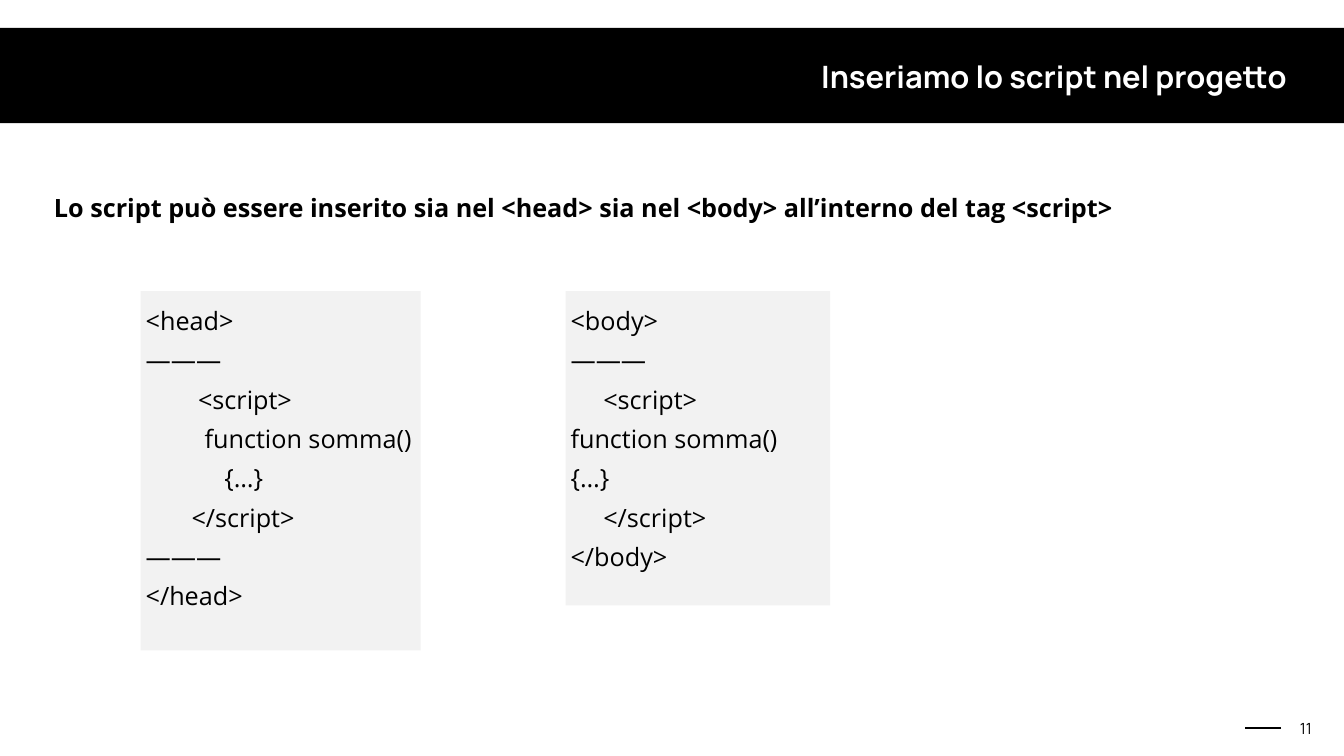
"""Builds the slide on placing a script in the head or the body of a page."""
from pptx import Presentation
from pptx.dml.color import RGBColor
from pptx.enum.shapes import MSO_CONNECTOR as Connector, MSO_SHAPE as Shape
from pptx.enum.text import MSO_ANCHOR as Anchor, PP_ALIGN as Align
from pptx.oxml.ns import qn
from pptx.util import Pt
from lxml import etree

BLACK, WHITE, GREY = "000000", "FFFFFF", "F2F2F2"
SPACE = 9.36


def color(value):
    return RGBColor.from_string(value)


def write(shape, lines, size, font, ink=BLACK, bold=False, align=Align.LEFT,
          anchor=Anchor.TOP, inset=7.2, spacing=None):
    frame = shape.text_frame
    frame.word_wrap = True
    frame.vertical_anchor = anchor
    frame.margin_left = frame.margin_right = Pt(inset)
    frame.margin_top = frame.margin_bottom = Pt(inset)
    for index, (indent, text) in enumerate(lines):
        paragraph = frame.paragraphs[0] if index == 0 else frame.add_paragraph()
        paragraph.text = text
        paragraph.alignment = align
        paragraph.line_spacing = spacing
        paragraph.font.name = font
        paragraph.font.size = Pt(size)
        paragraph.font.bold = bold
        paragraph.font.color.rgb = color(ink)
        if indent:
            paragraph._p.get_or_add_pPr().set("marL", str(Pt(indent * SPACE)))


presentation = Presentation()
presentation.slide_width, presentation.slide_height = Pt(1920), Pt(1080)
slide = presentation.slides.add_slide(presentation.slide_layouts[6])
shapes = slide.shapes

band = shapes.add_shape(Shape.RECTANGLE, Pt(-15), Pt(40), Pt(1950), Pt(136))
band.shadow.inherit = False
band.fill.solid()
band.fill.fore_color.rgb = color(BLACK)
band.line.fill.background()

dash = shapes.add_connector(Connector.STRAIGHT, Pt(1830), Pt(1040), Pt(1779), Pt(1040))
dash.line.color.rgb = color(BLACK)
dash.line.width = Pt(2)
etree.SubElement(dash._element.spPr, qn("a:effectLst"))

head_code = [(0, "<head>"), (0, "———"), (8, "<script>"), (9, "function somma()"),
             (12, "{…}"), (7, "</script>"), (0, "———"), (0, "</head>")]
body_code = [(0, "<body>"), (0, "———"), (5, "<script>"), (0, "function somma()"),
             (0, "{…}"), (5, "</script>"), (0, "</body>")]
for left, width, height, code in [(201, 400, 513, head_code), (808, 378, 449, body_code)]:
    panel = shapes.add_shape(Shape.RECTANGLE, Pt(left), Pt(416), Pt(width), Pt(height))
    panel.shadow.inherit = False
    panel.fill.solid()
    panel.fill.fore_color.rgb = color(GREY)
    panel.line.fill.background()
    write(panel, code, 36, "Open Sans", spacing=1.3)

statement = shapes.add_textbox(Pt(70), Pt(255), Pt(1538), Pt(66))
write(statement, [(0, "Lo script può essere inserito sia nel <head> sia nel <body> "
                      "all’interno del tag <script>")],
      36, "Open Sans", bold=True, spacing=1.3)

page_number = shapes.add_textbox(Pt(1847.5), Pt(1022.5), Pt(36), Pt(34.5))
write(page_number, [(0, "11")], 22, "Manrope", align=Align.CENTER,
      anchor=Anchor.BOTTOM, inset=4)

title = shapes.add_textbox(Pt(424), Pt(79), Pt(1419), Pt(61))
write(title, [(0, "Inseriamo lo script nel progetto")], 44, "Manrope", WHITE,
      bold=True, align=Align.RIGHT, anchor=Anchor.MIDDLE, inset=4)

presentation.save("out.pptx")
